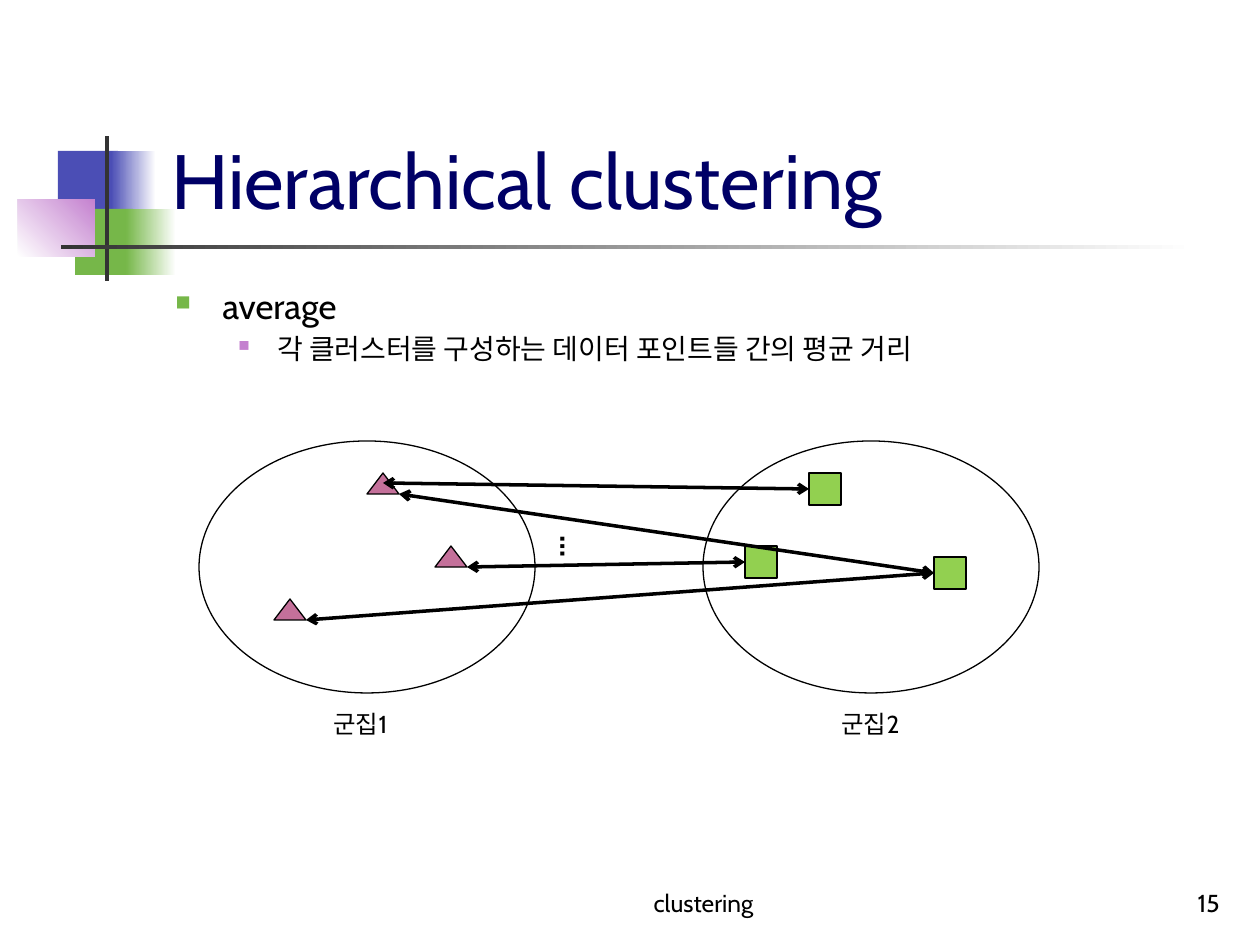
from lxml.etree import SubElement
from pptx import Presentation
from pptx.dml.color import RGBColor
from pptx.enum.shapes import MSO_CONNECTOR as Connector, MSO_SHAPE as Shape
from pptx.enum.text import MSO_ANCHOR as Anchor, PP_ALIGN as Align
from pptx.oxml.ns import qn
from pptx.util import Pt

SCALE = 914400 / 126
FONT = "Cabin"
BLACK, GRAY, WHITE = "000000", "333333", "FFFFFF"
BLUE, GREEN, LILAC, NAVY = "4B4EB5", "76B749", "C481CF", "000066"
PINK, LIME = "C4709A", "92D050"
LEFT_SIDE = 1


def emu(*lengths):
    return [round(length * SCALE) for length in lengths]


def color(hex_string):
    return RGBColor.from_string(hex_string)


def add_figure(page, kind, box, fill=None, fade=None, angle=0, line=None):
    """Add a preset shape; fade is the second colour of a gradient."""
    figure = page.shapes.add_shape(kind, *emu(*box))
    figure.shadow.inherit = False
    if fade:
        figure.fill.gradient()
        figure.fill.gradient_angle = angle
        for stop, position, shade in zip(figure.fill.gradient_stops, (0, 1), (fill, fade)):
            stop.position = position
            stop.color.rgb = color(shade)
    elif fill:
        figure.fill.solid()
        figure.fill.fore_color.rgb = color(fill)
    else:
        figure.fill.background()
    if line:
        figure.line.color.rgb = color(line)
        figure.line.width = Pt(0.75)
    else:
        figure.line.fill.background()
    return figure


def style_para(para, size, shade=BLACK, bold=False):
    for span in para.runs:
        span.font.name = FONT
        span.font.size = Pt(size)
        span.font.bold = bold
        span.font.color.rgb = color(shade)


def add_text(page, box, text, size, shade=BLACK, align=Align.LEFT, anchor=Anchor.TOP, bold=False):
    frame = page.shapes.add_textbox(*emu(*box)).text_frame
    frame.word_wrap = True
    frame.vertical_anchor = anchor
    frame.text = text
    for para in frame.paragraphs:
        para.alignment = align
        style_para(para, size, shade, bold)
    return frame


def set_bullet(para, shade, percent, margin, hanging):
    """Give the paragraph a square bullet and a hanging indent."""
    properties = para._p.get_or_add_pPr()
    left, indent = emu(margin, -hanging)
    properties.set("marL", str(left))
    properties.set("indent", str(indent))
    bullet_color = SubElement(properties, qn("a:buClr"))
    SubElement(bullet_color, qn("a:srgbClr"), val=shade)
    SubElement(properties, qn("a:buSzPct"), val=str(percent * 1000))
    SubElement(properties, qn("a:buFont"), typeface="Wingdings")
    SubElement(properties, qn("a:buChar"), char="n")


def add_ornament(page, left, top):
    """Draw the coloured blocks and the two rules beside the title."""
    blocks = [
        ((40, 15, 60, 65), BLUE, None, 0),
        ((93, 15, 45, 65), BLUE, WHITE, 0),
        ((57, 73, 58, 66), GREEN, None, 0),
        ((108, 73, 50, 66), GREEN, WHITE, 0),
        ((0, 63, 77, 58), WHITE, LILAC, 45),
        ((87, 0, 4, 145), GRAY, None, 0),
        ((43, 109, 1134, 4), GRAY, WHITE, 0),
    ]
    for (x, y, width, height), fill, fade, angle in blocks:
        add_figure(page, Shape.RECTANGLE, (left + x, top + y, width, height), fill, fade, angle)


def add_outline(page, box):
    frame = add_text(page, box, "average\n각 클러스터를 구성하는 데이터 포인트들 간의 평균 거리", 20)
    topic, detail = frame.paragraphs
    style_para(detail, 16)
    detail.level = 1
    topic.space_before, detail.space_before = Pt(4), Pt(3)
    set_bullet(topic, GREEN, 60, 47, 47)
    set_bullet(detail, LILAC, 55, 102, 39)


def add_cluster(page, box, label, label_x, kind, size, fill, points):
    """Draw a labelled ellipse and return its data points."""
    left, top, _, height = box
    add_figure(page, Shape.OVAL, box, line=BLACK)
    add_text(page, (left + label_x, top + height + 10, 88, 43), label, 14)
    return [add_figure(page, kind, (left + x, top + y, *size), fill, line=BLACK)
            for x, y in points]


def add_distance(page, point, offset, square):
    """Join a spot on one data point to the left side of a square."""
    dx, dy = emu(*offset)
    start = point.left + dx, point.top + dy
    arrow = page.shapes.add_connector(Connector.STRAIGHT, *start, *start)
    arrow.end_connect(square, LEFT_SIDE)
    arrow.line.color.rgb = color(BLACK)
    arrow.line.width = Pt(2)
    line = arrow.line._get_or_add_ln()
    for end in ("a:headEnd", "a:tailEnd"):
        SubElement(line, qn(end), type="arrow")
    SubElement(arrow._element.spPr, qn("a:effectLst"))


def add_diagram(page, left, top):
    triangles = add_cluster(page, (left, top, 336, 252), "군집1", 122, Shape.ISOSCELES_TRIANGLE,
                            (32, 21), PINK, [(75, 158), (168, 32), (236, 105)])
    squares = add_cluster(page, (left + 504, top, 336, 252), "군집2", 126, Shape.RECTANGLE,
                          (32, 32), LIME, [(106, 32), (231, 116), (42, 105)])
    middle, corner = (16, 10), (32, 21)
    for triangle, offset, square in [(1, middle, 0), (2, corner, 2), (0, corner, 1), (1, corner, 1)]:
        add_distance(page, triangles[triangle], offset, squares[square])
    dots = add_text(page, (left + 336, top + 82, 63, 44), "…", 18, bold=True)
    dots._txBody.bodyPr.set("vert", "eaVert")


def add_footer(page, top):
    add_text(page, (504, top, 399, 63), "clustering", 14, align=Align.CENTER, anchor=Anchor.BOTTOM)
    add_text(page, (970, top, 262, 63), "15", 14, align=Align.RIGHT, anchor=Anchor.BOTTOM)


def main():
    deck = Presentation()
    deck.slide_width, deck.slide_height = emu(1260, 945)
    page = deck.slides.add_slide(deck.slide_layouts[6])
    add_ornament(page, 18, 136)
    add_text(page, (159, 29, 1073, 202), "Hierarchical clustering", 44, NAVY, anchor=Anchor.BOTTOM)
    add_outline(page, (163, 278, 1071, 567))
    add_diagram(page, 199, 441)
    add_footer(page, 861)
    deck.save("out.pptx")


if __name__ == "__main__":
    main()
